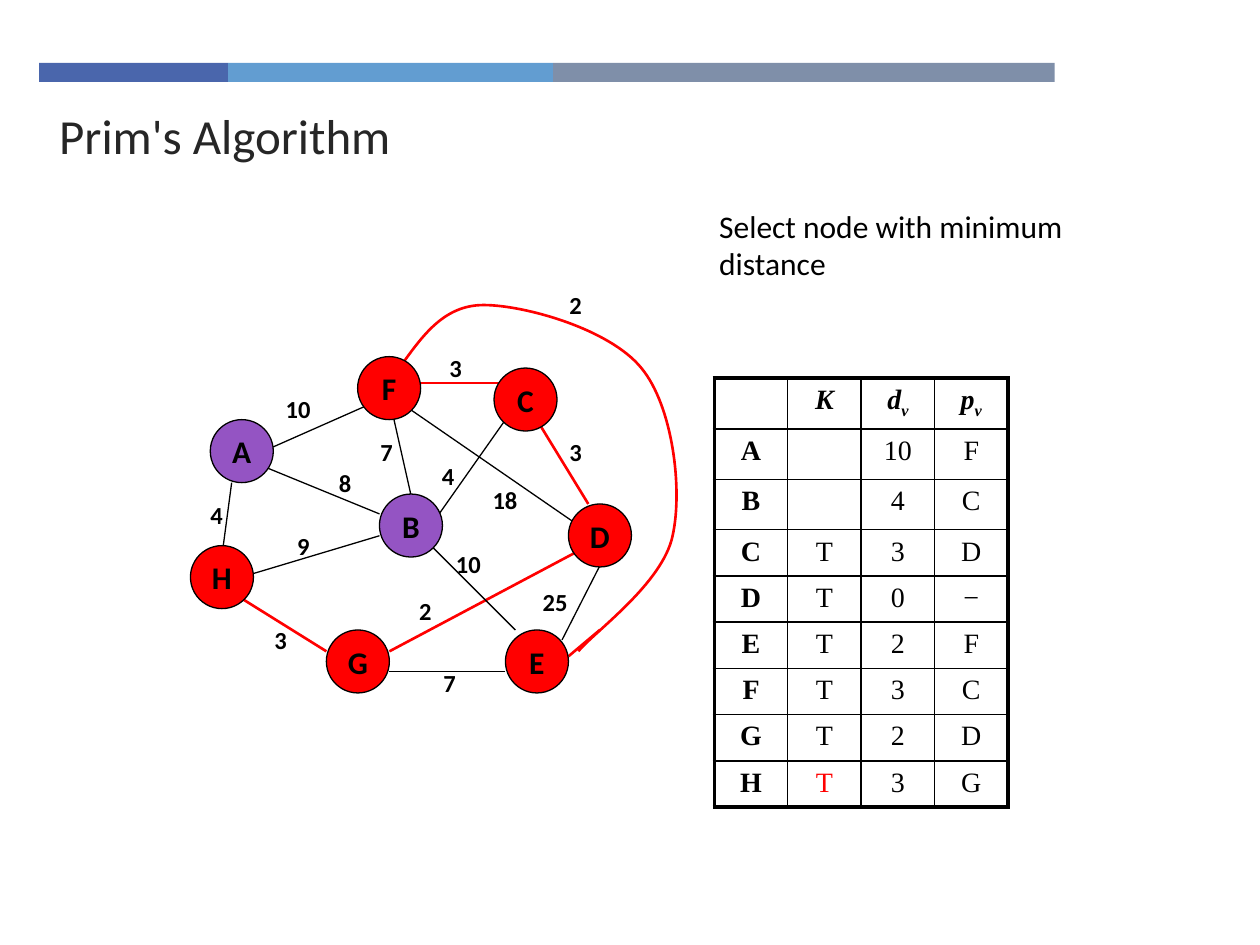
from lxml.etree import SubElement
from pptx import Presentation
from pptx.dml.color import RGBColor
from pptx.enum.shapes import MSO_CONNECTOR, MSO_SHAPE
from pptx.enum.text import MSO_ANCHOR, PP_ALIGN
from pptx.oxml.ns import qn
from pptx.util import Cm, Pt

BLACK, RED, PURPLE = "000000", "FF0000", "9454C3"


def color(hex_value):
    return RGBColor.from_string(hex_value)


def write(frame, text, size=14, hue=BLACK, bold=False, italic=False,
          font="Calibri", align=PP_ALIGN.LEFT, subscript="", wrap=True):
    frame.word_wrap = wrap
    paragraph = frame.paragraphs[0]
    paragraph.alignment = align
    for part in [text, subscript] if subscript else [text]:
        run = paragraph.add_run()
        run.text = part
        run.font.name, run.font.size = font, Pt(size)
        run.font.bold, run.font.italic = bold, italic
        run.font.color.rgb = color(hue)
    if subscript:
        run.font._element.set("baseline", "-25000")


presentation = Presentation()
presentation.slide_width, presentation.slide_height = Cm(25.4), Cm(19.05)
slide = presentation.slides.add_slide(presentation.slide_layouts[5])
shapes = slide.shapes

# Title
title = shapes.title
title.left, title.top, title.width, title.height = Cm(0.94), Cm(2.03), Cm(18.19), Cm(1.37)
title.text_frame.vertical_anchor = MSO_ANCHOR.MIDDLE
write(title.text_frame, "Prim's Algorithm", size=28, hue="262626")

# Band above the title
band_left = 0.79
for width, hue in [(3.81, "4A66AC"), (6.55, "629DD1"), (10.11, "7F8FA9")]:
    band = shapes.add_shape(MSO_SHAPE.RECTANGLE, Cm(band_left), Cm(1.27), Cm(width), Cm(0.38))
    band.shadow.inherit = False
    band.fill.solid()
    band.fill.fore_color.rgb = color(hue)
    band.line.fill.background()
    band_left += width

# Curved edge F-E: three points for each Bezier segment
curve_points = [
    (8.51, 6.78), (8.94, 6.15), (9.75, 6.15),
    (10.57, 6.15), (12.29, 6.63), (12.93, 7.42),
    (13.56, 8.18), (13.77, 9.86), (13.56, 10.8),
    (13.36, 11.76), (11.99, 12.73), (11.66, 13.13),
]
builder = shapes.build_freeform(Cm(8.05), Cm(7.42))
builder.add_line_segments([(Cm(x), Cm(y)) for x, y in curve_points], close=False)
curve = builder.convert_to_shape()
curve.shadow.inherit = False
curve.fill.background()
curve.line.color.rgb = color(RED)
curve.line.width = Pt(1.5)
segments = list(curve._element.iter(qn("a:lnTo")))
for first in range(0, len(segments), 3):
    trio = segments[first:first + 3]
    bezier = SubElement(trio[0].getparent(), qn("a:cubicBezTo"))
    for segment in trio:
        bezier.append(segment[0])
        segment.getparent().remove(segment)

# Edges: start, end, weight, place of the weight, colour
edges = [
    ((12.4, 10.8), (11.33, 12.9), "25", (10.69, 11.71), BLACK),
    ((7.85, 8.05), (8.28, 9.96), "7", (7.42, 8.69), BLACK),
    ((8.69, 10.59), (10.19, 8.46), "4", (8.66, 9.17), BLACK),
    ((11.66, 10.59), (8.28, 8.26), "18", (9.68, 9.65), BLACK),
    ((4.88, 11.63), (7.65, 10.8), "9", (5.74, 10.59), BLACK),
    ((7.85, 13.13), (11.86, 11), "2", (8.2, 11.89), RED),
    ((4.47, 11.23), (4.67, 9.73), "4", (3.99, 9.96), BLACK),
    ((5.11, 9.32), (7.65, 10.36), "8", (6.58, 9.32), BLACK),
    ((8.41, 7.72), (10.39, 7.72), "3", (8.81, 6.99), RED),
    ((10.82, 8.46), (11.86, 10.16), "3", (11.23, 8.69), RED),
    ((8.69, 11), (10.39, 12.7), "10", (8.94, 10.95), BLACK),
    ((10.19, 13.54), (7.85, 13.54), "7", (8.69, 13.34), BLACK),
    ((6.58, 13.13), (4.88, 12.07), "3", (5.28, 12.47), RED),
    ((5.44, 9.04), (7.34, 8.2), "10", (5.51, 7.82), BLACK),
    ((12.09, 12.7), (11.46, 13.23), "2", (11.23, 5.72), RED),
]
for start, end, weight, (left, top), hue in edges:
    edge = shapes.add_connector(MSO_CONNECTOR.STRAIGHT, *[Cm(v) for v in start + end])
    edge.line.color.rgb = color(hue)
    edge.line.width = Pt(1.5 if hue == RED else 0.75)
    SubElement(edge._element.spPr, qn("a:effectLst"))
    label_width = 0.84 if len(weight) == 1 else 1.32
    label = shapes.add_textbox(Cm(left), Cm(top), Cm(label_width), Cm(0.84))
    write(label.text_frame, weight, bold=True)

# Nodes
nodes = [
    ("A", 4.24, 8.46, PURPLE), ("H", 3.84, 11, RED),
    ("B", 7.65, 9.96, PURPLE), ("F", 7.21, 7.19, RED),
    ("E", 10.19, 12.7, RED), ("D", 11.46, 10.16, RED),
    ("C", 9.96, 7.42, RED), ("G", 6.58, 12.7, RED),
]
for letter, left, top, hue in nodes:
    node = shapes.add_shape(MSO_SHAPE.OVAL, Cm(left), Cm(top), Cm(1.27), Cm(1.27))
    node.shadow.inherit = False
    node.fill.solid()
    node.fill.fore_color.rgb = color(hue)
    node.line.color.rgb = color(BLACK)
    node.line.width = Pt(0.75)
    node.text_frame.vertical_anchor = MSO_ANCHOR.MIDDLE
    write(node.text_frame, letter, size=18, bold=True, align=PP_ALIGN.CENTER, wrap=False)

# Step description
step = shapes.add_textbox(Cm(14.25), Cm(4.04), Cm(8.05), Cm(1.96))
write(step.text_frame, "Select node with minimum distance", size=18)

# Distance table
distances = [
    ("", "K", "d", "p"),
    ("A", "", "10", "F"),
    ("B", "", "4", "C"),
    ("C", "T", "3", "D"),
    ("D", "T", "0", "−"),
    ("E", "T", "2", "F"),
    ("F", "T", "3", "C"),
    ("G", "T", "2", "D"),
    ("H", "T", "3", "G"),
]
last_row, last_column = len(distances) - 1, len(distances[0]) - 1
table = shapes.add_table(last_row + 1, last_column + 1,
                         Cm(14.4), Cm(7.62), Cm(5.92), Cm(8.5)).table
table.first_row = table.horz_banding = False
for column in table.columns:
    column.width = Cm(1.48)
for r, values in enumerate(distances):
    table.rows[r].height = Cm({0: 1.02, 2: 0.97}.get(r, 0.93))
    for c, value in enumerate(values):
        cell = table.cell(r, c)
        header = r == 0
        write(cell.text_frame, value, size=16, font="Times New Roman",
              hue=RED if (r, c) == (last_row, 1) else BLACK,
              bold=header or c == 0, italic=header, align=PP_ALIGN.CENTER,
              subscript="v" if header and c > 1 else "")
        outer_sides = {"a:lnL": c == 0, "a:lnR": c == last_column,
                       "a:lnT": r == 0, "a:lnB": r == last_row}
        properties = cell._tc.get_or_add_tcPr()
        for side, outer in outer_sides.items():
            border = SubElement(properties, qn(side), w=str(Pt(2.25 if outer else 1)))
            SubElement(SubElement(border, qn("a:solidFill")), qn("a:srgbClr"), val=BLACK)
        cell.fill.background()

presentation.save("out.pptx")
